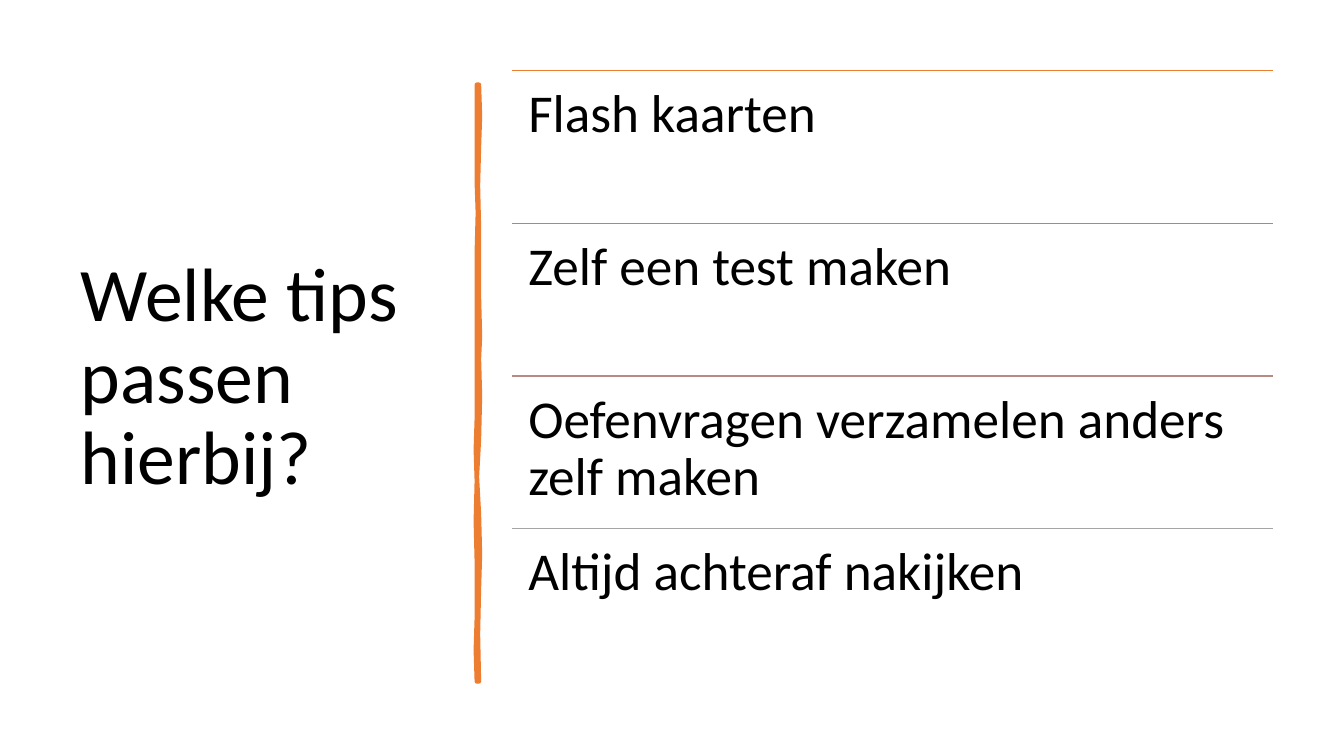
"""Build a slide with a title, a hand-drawn divider and four ruled study tips."""
import pptx
import pptx.util
import pptx.dml.color
import pptx.enum.shapes
import pptx.enum.text
import pptx.oxml.ns
import lxml.etree

Inches, Pt = pptx.util.Inches, pptx.util.Pt
qn = pptx.oxml.ns.qn


def rgb(value):
    return pptx.dml.color.RGBColor.from_string(value)


def add_text(p, text, size):
    p.alignment = pptx.enum.text.PP_ALIGN.LEFT
    p.line_spacing = 0.9
    r = p.add_run()
    r.text = text
    r.font.name = "Calibri"
    r.font.size = Pt(size)
    r.font.color.rgb = rgb("000000")


prs = pptx.Presentation()
prs.slide_width, prs.slide_height = Inches(13.33), Inches(7.5)
s = prs.slides.add_slide(prs.slide_layouts[5])

title = s.shapes.title
title.left, title.top = Inches(0.7), Inches(0.7)
title.width, title.height = Inches(3.74), Inches(6.11)
tf = title.text_frame
tf.word_wrap = True
tf.auto_size = pptx.enum.text.MSO_AUTO_SIZE.NONE
tf.vertical_anchor = pptx.enum.text.MSO_ANCHOR.MIDDLE
add_text(tf.paragraphs[0], "Welke tips passen hierbij?", 54)

divider_points = [
    (4.76, 1.15), (4.75, 1.46), (4.74, 1.84), (4.75, 2.26), (4.75, 2.94),
    (4.76, 3.34), (4.75, 3.56), (4.76, 3.93), (4.75, 4.36), (4.73, 4.73),
    (4.75, 5.1), (4.76, 5.5), (4.75, 5.84), (4.74, 6.29), (4.75, 6.76),
    (4.73, 6.76), (4.72, 6.45), (4.73, 6.13), (4.73, 5.57), (4.72, 5.17),
    (4.73, 4.77), (4.72, 4.46), (4.73, 4.15), (4.73, 3.35), (4.73, 2.5),
    (4.74, 2.11), (4.73, 1.81), (4.73, 1.33), (4.73, 0.84),
]
builder = s.shapes.build_freeform(Inches(4.75), Inches(0.84))
builder.add_line_segments([(Inches(x), Inches(y)) for x, y in divider_points], close=True)
divider = builder.convert_to_shape()
divider.shadow.inherit = False
divider.fill.solid()
divider.fill.fore_color.rgb = rgb("ED7D31")
divider.line.color.rgb = rgb("ED7D31")
divider.line.width = Pt(3.25)
lxml.etree.SubElement(divider._element.spPr.find(qn("a:ln")), qn("a:round"))

tips = [
    ("Flash kaarten", "ED7D31"),
    ("Zelf een test maken", "D17B5C"),
    ("Oefenvragen verzamelen anders zelf maken", "B98A82"),
    ("Altijd achteraf nakijken", "A5A5A5"),
]
left, width = Inches(5.08), Inches(7.55)
top, row_height = Inches(0.7), Inches(6.06) // len(tips)
for i, (tip, colour) in enumerate(tips):
    y = top + i * row_height
    rule = s.shapes.add_connector(
        pptx.enum.shapes.MSO_CONNECTOR.STRAIGHT, left, y, left + width, y)
    rule.line.color.rgb = rgb(colour)
    rule.line.width = Pt(1)
    lxml.etree.SubElement(rule._element.spPr, qn("a:effectLst"))

    tf = s.shapes.add_textbox(left, y, width, row_height).text_frame
    tf.word_wrap = True
    tf.margin_left = tf.margin_right = tf.margin_top = tf.margin_bottom = Inches(0.16)
    add_text(tf.paragraphs[0], tip, 38)

prs.save("out.pptx")
